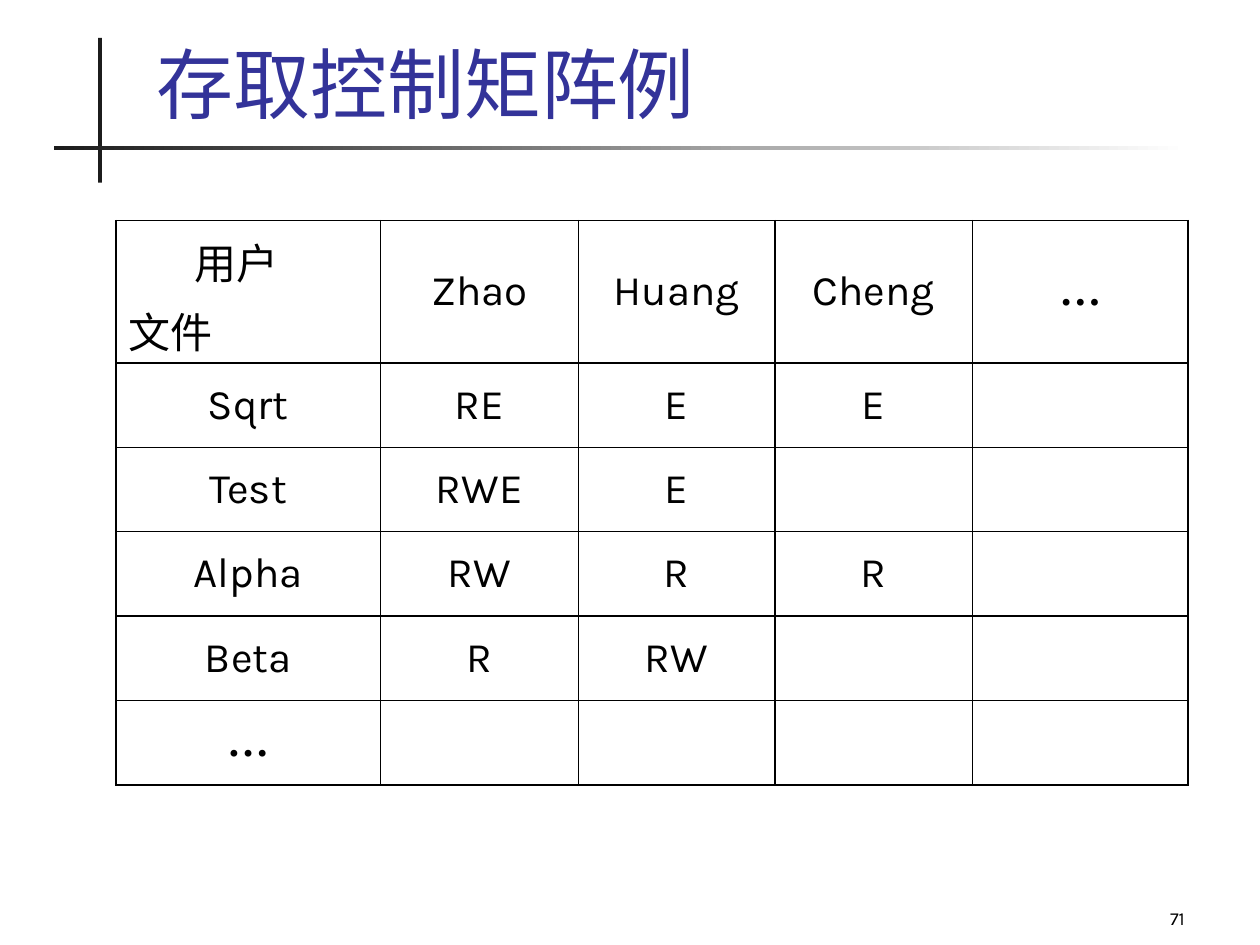
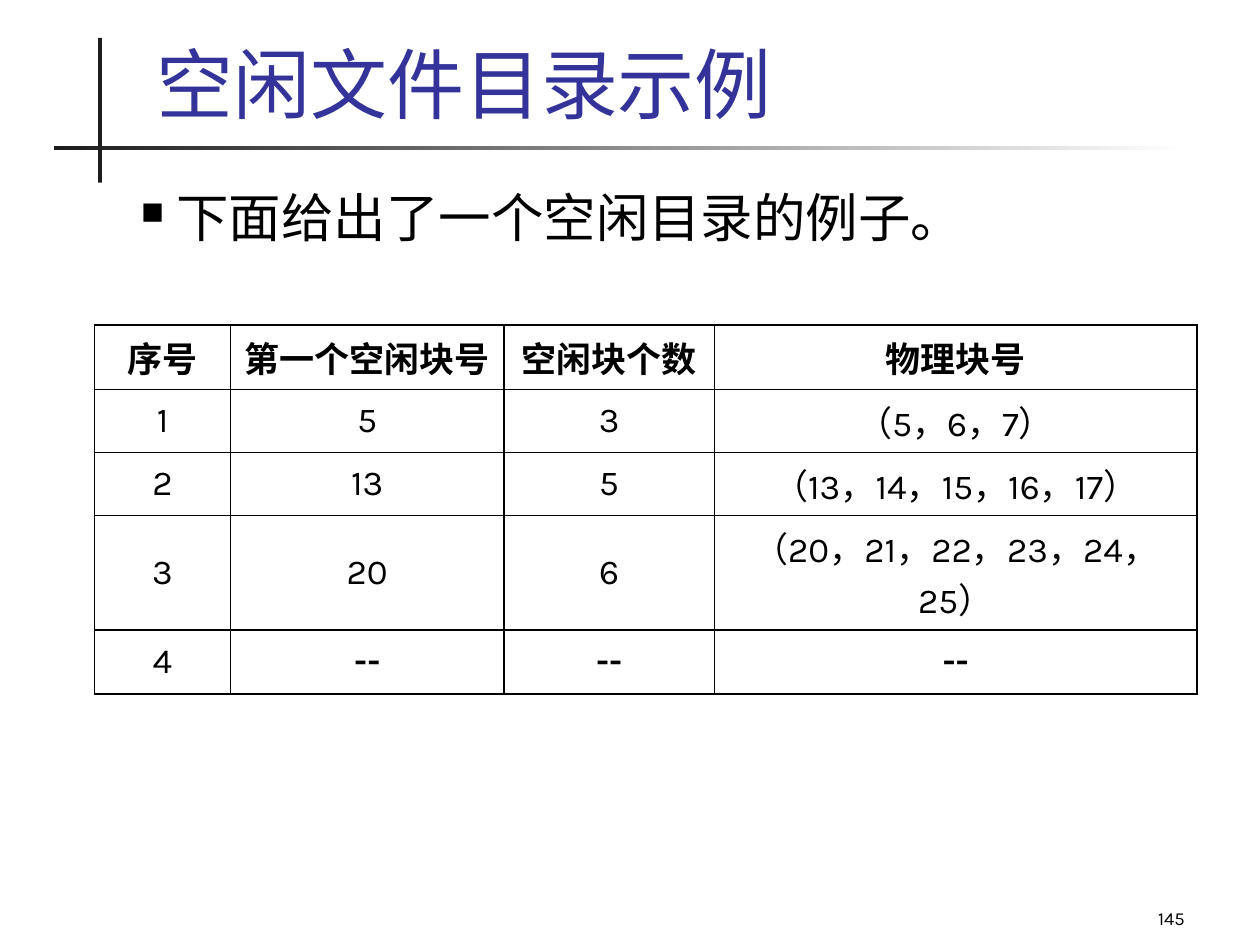
from lxml.etree import SubElement
from pptx import Presentation
from pptx.dml.color import RGBColor
from pptx.enum.lang import MSO_LANGUAGE_ID as Language
from pptx.enum.shapes import MSO_SHAPE as Shape
from pptx.enum.text import MSO_ANCHOR as Anchor, PP_ALIGN as Align
from pptx.oxml.ns import qn
from pptx.util import Inches, Pt

COLORS = {"title": "333399", "text": "000000", "rule": "1C1C1C", "paper": "FFFFFF"}
TITLE = {"size": Pt(44), "name": "TeX Gyre Schola"}
BODY = {"size": Pt(30), "name": "TeX Gyre Schola"}
NUMBER = {"size": Pt(10.5), "name": "Karla"}
MATRIX = {"size": Pt(24), "name": "Karla"}
MATRIX_DOTS = MATRIX | {"name": "Times New Roman", "bold": True}
DIRECTORY = {"size": Pt(20), "name": "Karla"}
DIRECTORY_BOLD = DIRECTORY | {"bold": True}
DIRECTORY_HEAD = DIRECTORY_BOLD | {"name": "Arial"}


def rgb(name):
    return RGBColor.from_string(COLORS[name])


def write(paragraph, text, font_format, color="text"):
    run = paragraph.add_run()
    run.text = text
    run.font.color.rgb = rgb(color)
    run.font.language_id = Language.SIMPLIFIED_CHINESE
    for name, value in font_format.items():
        setattr(run.font, name, value)


def add_text(slide, box, text, font_format, color="text", anchor=Anchor.TOP, align=Align.LEFT):
    """Add a wrapped one-paragraph text box and return its paragraph."""
    frame = slide.shapes.add_textbox(*map(Inches, box)).text_frame
    frame.word_wrap = True
    frame.vertical_anchor = anchor
    paragraph = frame.paragraphs[0]
    paragraph.alignment = align
    write(paragraph, text, font_format, color)
    return paragraph


def add_rule(slide, box):
    rule = slide.shapes.add_shape(Shape.RECTANGLE, *map(Inches, box))
    rule.shadow.inherit = False
    rule.line.fill.background()
    rule.fill.solid()
    rule.fill.fore_color.rgb = rgb("rule")
    return rule


def add_base_slide(presentation, title, number):
    """Add a slide with the crossed rules, the title and the page number."""
    slide = presentation.slides.add_slide(presentation.slide_layouts[6])
    add_rule(slide, (0.78, 0.3, 0.03, 1.15))
    fading_rule = add_rule(slide, (0.43, 1.16, 9, 0.03))
    fading_rule.fill.gradient()
    fading_rule.fill.gradient_angle = 0
    for stop, position, color in zip(fading_rule.fill.gradient_stops, (0, 1), ("rule", "paper")):
        stop.position = position
        stop.color.rgb = rgb(color)
    add_text(slide, (1.14, 0.25, 8.59, 0.82), title, TITLE, "title", Anchor.BOTTOM)
    add_text(slide, (7.42, 6.92, 2.08, 0.5), number, NUMBER,
             anchor=Anchor.BOTTOM, align=Align.RIGHT)
    return slide


def set_borders(cell):
    properties = cell._tc.get_or_add_tcPr()
    for side in ("lnL", "lnR", "lnT", "lnB"):
        line = SubElement(properties, qn(f"a:{side}"), w=str(Pt(1)))
        fill = SubElement(line, qn("a:solidFill"))
        SubElement(fill, qn("a:srgbClr"), val=COLORS["text"])


def add_grid(slide, left, top, widths, heights, rows, format_for):
    """Add a ruled table; format_for(row, column, text) gives a cell's font format."""
    box = map(Inches, (left, top, sum(widths), sum(heights)))
    table = slide.shapes.add_table(len(heights), len(widths), *box).table
    table.first_row = table.horz_banding = False
    for column, width in zip(table.columns, widths):
        column.width = Inches(width)
    for row, height in zip(table.rows, heights):
        row.height = Inches(height)
    for row, texts in enumerate(rows):
        for column, text in enumerate(texts):
            cell = table.cell(row, column)
            set_borders(cell)
            cell.fill.background()
            cell.vertical_anchor = Anchor.MIDDLE
            if text:
                paragraph = cell.text_frame.paragraphs[0]
                paragraph.alignment = Align.CENTER
                write(paragraph, text, format_for(row, column, text))
    return table


def add_corner_label(cell, column_label, row_label):
    """Label the columns (indented, above) and the rows (below) in the corner cell."""
    cell.vertical_anchor = Anchor.TOP
    cell.margin_top = Inches(0.08)
    upper = cell.text_frame.paragraphs[0]
    upper._p.get_or_add_pPr().set("marL", str(Inches(0.52)))
    write(upper, column_label, MATRIX)
    lower = cell.text_frame.add_paragraph()
    lower.space_before = Pt(4.8)
    write(lower, row_label, MATRIX)


def add_bullet(paragraph):
    properties = paragraph._p.get_or_add_pPr()
    properties.set("marL", str(Inches(0.28)))
    properties.set("indent", str(Inches(-0.28)))
    color = SubElement(properties, qn("a:buClr"))
    SubElement(color, qn("a:srgbClr"), val=COLORS["text"])
    SubElement(properties, qn("a:buSzPct"), val="60000")
    SubElement(properties, qn("a:buChar"), char="■")


def add_access_matrix_slide(presentation):
    slide = add_base_slide(presentation, "存取控制矩阵例", "71")
    rows = [
        ("", "Zhao", "Huang", "Cheng", "…"),
        ("Sqrt", "RE", "E", "E", ""),
        ("Test", "RWE", "E", "", ""),
        ("Alpha", "RW", "R", "R", ""),
        ("Beta", "R", "RW", "", ""),
        ("…", "", "", "", ""),
    ]
    table = add_grid(slide, 0.92, 1.75, (2.1, 1.57, 1.56, 1.57, 1.71), [1.13] + [0.67] * 5, rows,
                     lambda row, column, text: MATRIX_DOTS if text == "…" else MATRIX)
    add_corner_label(table.cell(0, 0), "用户", "文件")


def directory_format(row, column, text):
    if row == 0:
        return DIRECTORY_HEAD if column < 3 else DIRECTORY_BOLD
    return DIRECTORY_BOLD if text == "--" else DIRECTORY


def add_free_directory_slide(presentation):
    slide = add_base_slide(presentation, "空闲文件目录示例", "145")
    paragraph = add_text(slide, (1.02, 1.35, 8.5, 5.35), "下面给出了一个空闲目录的例子。", BODY)
    paragraph.line_spacing = 1.14
    add_bullet(paragraph)
    rows = [
        ("序号", "第一个空闲块号", "空闲块个数", "物理块号"),
        ("1", "5", "3", "（5，6，7）"),
        ("2", "13", "5", "（13，14，15，16，17）"),
        ("3", "20", "6", "（20，21，22，23，24，25）"),
        ("4", "--", "--", "--"),
    ]
    add_grid(slide, 0.75, 2.58, (1.08, 2.17, 1.67, 3.83), (0.51, 0.5, 0.5, 0.91, 0.51), rows,
             directory_format)


def main():
    presentation = Presentation()
    presentation.slide_width, presentation.slide_height = Inches(10), Inches(7.5)
    add_access_matrix_slide(presentation)
    add_free_directory_slide(presentation)
    presentation.save("out.pptx")


if __name__ == "__main__":
    main()
